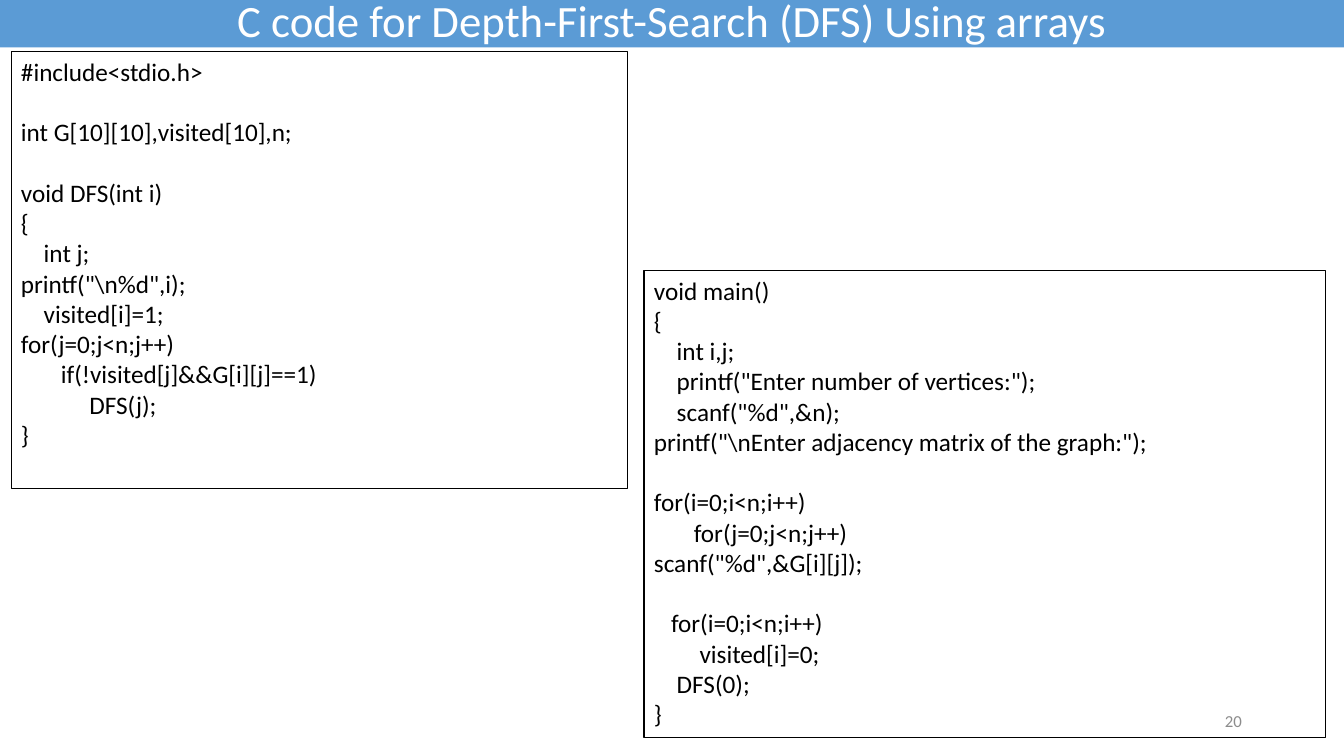
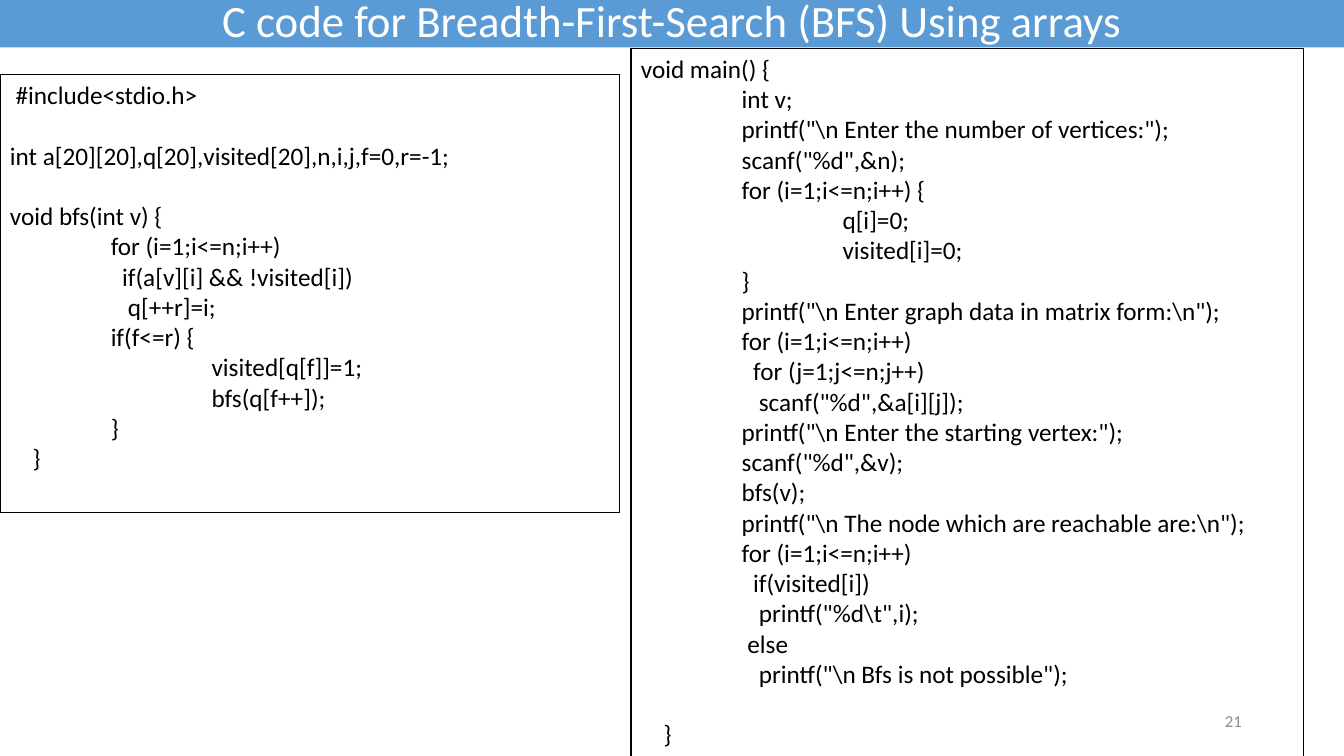
from pptx import Presentation
from pptx.dml.color import RGBColor
from pptx.enum.shapes import MSO_SHAPE
from pptx.enum.text import MSO_ANCHOR, MSO_AUTO_SIZE, PP_ALIGN
from pptx.util import Inches, Pt

SLIDE_WIDTH, SLIDE_HEIGHT = Inches(13.33), Inches(7.5)
FONT = "Calibri"
BLACK, WHITE, BLUE, GREY = "000000", "FFFFFF", "5B9BD5", "8C8C8C"
TITLE_BAND = (0, -1.2, 100, 7.47)
NUMBER_AREA = (70.65, 92.67, 22.5, 5.33)
CODE_LINE_HEIGHT = Pt(21.6)
SPACE_WIDTH, TAB_WIDTH = Pt(4.07), Inches(1)
FIRST_NUMBER = 20

# Each code line is (tabs, spaces, text); a blank line separates groups.
DFS_FUNCTION = [
    [(0, 0, "#include<stdio.h>")],
    [(0, 0, "int G[10][10],visited[10],n;")],
    [
        (0, 0, "void DFS(int i)"),
        (0, 0, "{"),
        (0, 4, "int j;"),
        (0, 0, r'printf("\n%d",i);'),
        (0, 4, "visited[i]=1;"),
        (0, 0, "for(j=0;j<n;j++)"),
        (0, 7, "if(!visited[j]&&G[i][j]==1)"),
        (0, 12, "DFS(j);"),
        (0, 0, "}"),
    ],
]
DFS_MAIN = [
    [
        (0, 0, "void main()"),
        (0, 0, "{"),
        (0, 4, "int i,j;"),
        (0, 4, 'printf("Enter number of vertices:");'),
        (0, 4, 'scanf("%d",&n);'),
        (0, 0, r'printf("\nEnter adjacency matrix of the graph:");'),
    ],
    [
        (0, 0, "for(i=0;i<n;i++)"),
        (0, 7, "for(j=0;j<n;j++)"),
        (0, 0, 'scanf("%d",&G[i][j]);'),
    ],
    [
        (0, 3, "for(i=0;i<n;i++)"),
        (0, 8, "visited[i]=0;"),
        (0, 4, "DFS(0);"),
        (0, 0, "}"),
    ],
]
BFS_FUNCTION = [
    [(0, 1, "#include<stdio.h>")],
    [(0, 0, "int a[20][20],q[20],visited[20],n,i,j,f=0,r=-1;")],
    [
        (0, 0, "void bfs(int v) {"),
        (1, 0, "for (i=1;i<=n;i++)"),
        (1, 2, "if(a[v][i] && !visited[i])"),
        (1, 3, "q[++r]=i;"),
        (1, 0, "if(f<=r) {"),
        (2, 0, "visited[q[f]]=1;"),
        (2, 0, "bfs(q[f++]);"),
        (1, 0, "}"),
        (0, 4, "}"),
    ],
]
BFS_MAIN = [
    [
        (0, 0, "void main() {"),
        (1, 0, "int v;"),
        (1, 0, r'printf("\n Enter the number of vertices:");'),
        (1, 0, 'scanf("%d",&n);'),
        (1, 0, "for (i=1;i<=n;i++) {"),
        (2, 0, "q[i]=0;"),
        (2, 0, "visited[i]=0;"),
        (1, 0, "}"),
        (1, 0, r'printf("\n Enter graph data in matrix form:\n");'),
        (1, 0, "for (i=1;i<=n;i++)"),
        (1, 2, "for (j=1;j<=n;j++)"),
        (1, 3, 'scanf("%d",&a[i][j]);'),
        (1, 0, r'printf("\n Enter the starting vertex:");'),
        (1, 0, 'scanf("%d",&v);'),
        (1, 0, "bfs(v);"),
        (1, 0, r'printf("\n The node which are reachable are:\n");'),
        (1, 0, "for (i=1;i<=n;i++)"),
        (1, 2, "if(visited[i])"),
        (1, 3, r'printf("%d\t",i);'),
        (1, 1, "else"),
        (1, 3, r'printf("\n Bfs is not possible");'),
    ],
    [(0, 4, "}")],
]
SLIDES = [
    (
        "C code for Depth-First-Search (DFS) Using arrays",
        [
            ((0.82, 6.8, 45.9, 57.87), DFS_FUNCTION),
            ((47.92, 35.73, 50.7, 61.87), DFS_MAIN),
        ],
    ),
    (
        "C code for Breadth-First-Search (BFS) Using arrays",
        [
            ((0, 9.87, 46.13, 57.87), BFS_FUNCTION),
            ((46.95, 6.4, 50.03, 94.27), BFS_MAIN),
        ],
    ),
]


def color(value):
    """Turn a hex string into a colour."""
    return RGBColor.from_string(value)


def place(area):
    """Turn percentages of the slide into left, top, width and height."""
    sides = (SLIDE_WIDTH, SLIDE_HEIGHT) * 2
    return [int(share * side / 100) for share, side in zip(area, sides)]


def add_run(paragraph, text, size, text_color):
    """Add one formatted run to a paragraph."""
    run = paragraph.add_run()
    run.text = text
    run.font.name = FONT
    run.font.size = Pt(size)
    run.font.color.rgb = color(text_color)


def set_frame(shape, anchor):
    """Set wrapping and anchor, and return the text frame."""
    frame = shape.text_frame
    frame.word_wrap = True
    frame.auto_size = MSO_AUTO_SIZE.NONE
    frame.vertical_anchor = anchor
    return frame


def set_title(slide, text):
    """Make the title placeholder a coloured band across the top."""
    title = slide.shapes.title
    title.left, title.top, title.width, title.height = place(TITLE_BAND)
    title.fill.solid()
    title.fill.fore_color.rgb = color(BLUE)
    paragraph = set_frame(title, MSO_ANCHOR.MIDDLE).paragraphs[0]
    paragraph.alignment = PP_ALIGN.CENTER
    add_run(paragraph, text, 32, WHITE)


def add_slide_number(slide, number):
    """Add the slide number at the lower right."""
    box = slide.shapes.add_textbox(*place(NUMBER_AREA))
    paragraph = set_frame(box, MSO_ANCHOR.MIDDLE).paragraphs[0]
    paragraph.alignment = PP_ALIGN.RIGHT
    add_run(paragraph, str(number), 12, GREY)


def add_code_line(paragraph, tabs, spaces, text):
    """Write one line of code with its indent."""
    indent = tabs * TAB_WIDTH + spaces * SPACE_WIDTH
    properties = paragraph._p.get_or_add_pPr()
    properties.set("marL", str(indent))
    properties.set("indent", "0")
    paragraph.alignment = PP_ALIGN.LEFT
    add_run(paragraph, text, 18, BLACK)


def add_code_box(slide, area, groups):
    """Add an outlined box of code, with a gap between groups."""
    box = slide.shapes.add_shape(MSO_SHAPE.RECTANGLE, *place(area))
    box.shadow.inherit = False
    box.fill.background()
    box.line.color.rgb = color(BLACK)
    box.line.width = Pt(0.75)
    frame = set_frame(box, MSO_ANCHOR.TOP)
    paragraph = frame.paragraphs[0]
    for group_index, group in enumerate(groups):
        for line_index, line in enumerate(group):
            if group_index or line_index:
                paragraph = frame.add_paragraph()
            if group_index and not line_index:
                paragraph.space_before = CODE_LINE_HEIGHT
            add_code_line(paragraph, *line)


def main():
    """Build and save the presentation."""
    presentation = Presentation()
    presentation.slide_width = SLIDE_WIDTH
    presentation.slide_height = SLIDE_HEIGHT
    title_only = presentation.slide_layouts[5]
    for number, (title, boxes) in enumerate(SLIDES, FIRST_NUMBER):
        slide = presentation.slides.add_slide(title_only)
        set_title(slide, title)
        add_slide_number(slide, number)
        for area, groups in boxes:
            add_code_box(slide, area, groups)
    presentation.save("out.pptx")


if __name__ == "__main__":
    main()
